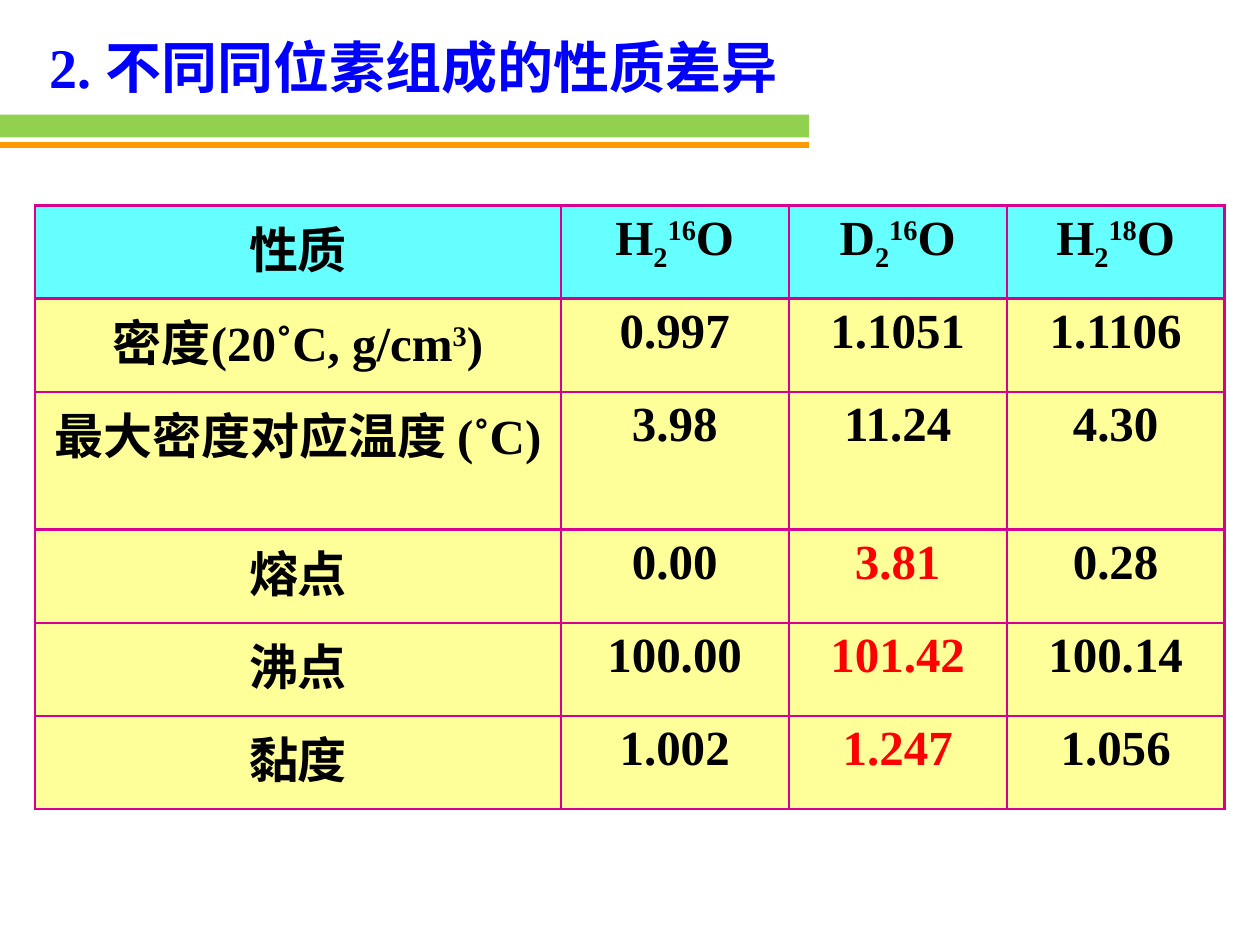
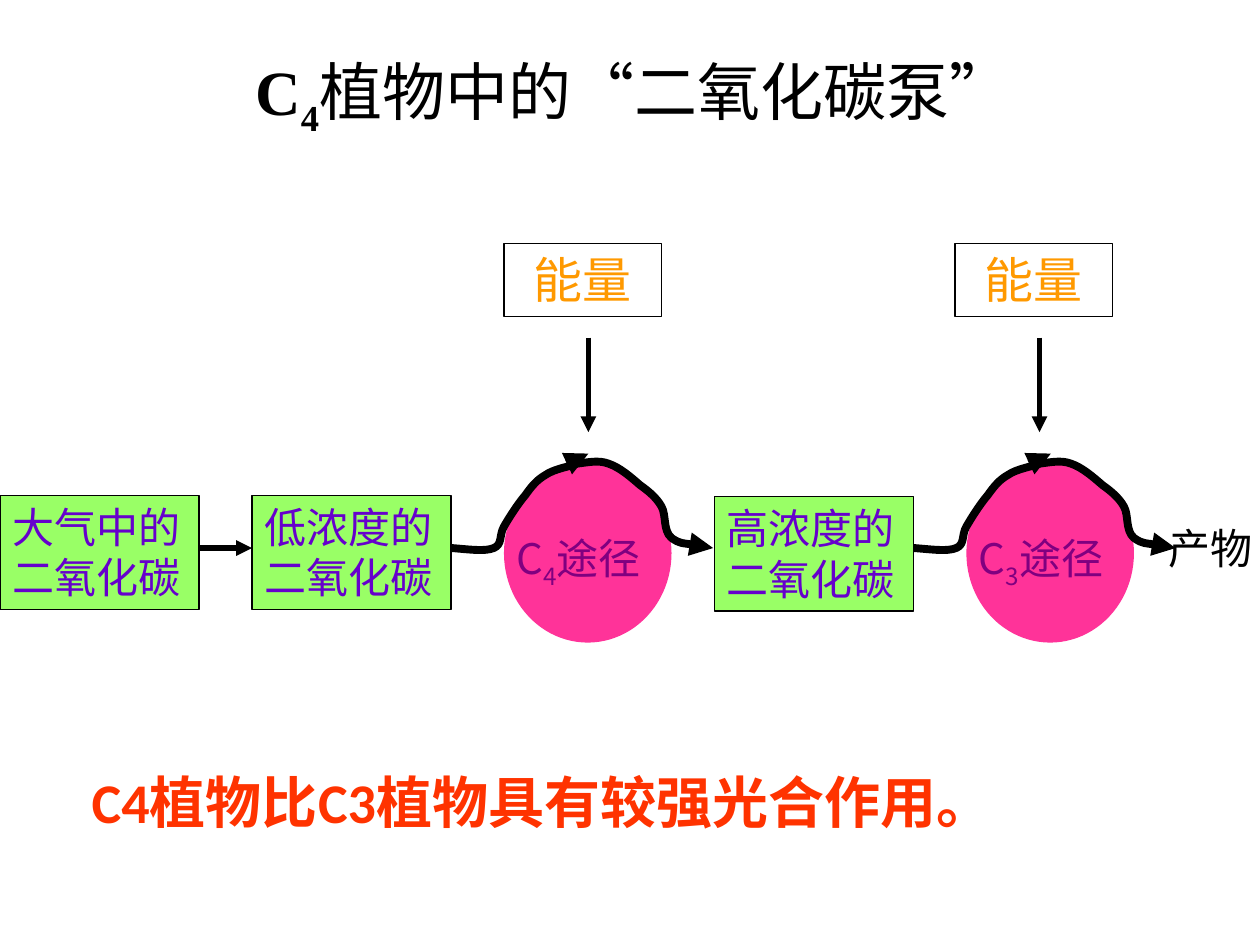
import lxml.etree
import pptx
import pptx.dml.color
import pptx.enum.shapes
import pptx.enum.text
import pptx.oxml.ns
import pptx.util

EMU_PER_PX = 9144  # 100 px to the inch
TITLE_ONLY = 5
SHAPES = pptx.enum.shapes.MSO_SHAPE
ALIGN = pptx.enum.text.PP_ALIGN
ANCHOR = pptx.enum.text.MSO_ANCHOR

SERIF, SANS, HAN = "Times New Roman", "Calibri", "Noto Sans CJK SC"
BLACK, WHITE, RED, ORANGE = "000000", "FFFFFF", "FF0000", "FF9900"
BLUE, LIME, MAGENTA = "0000FF", "92D050", "D60093"
AQUA, CREAM = "66FFFF", "FFFF99"
GREEN, VIOLET, PINK, PURPLE, VERMILION = "99FF66", "6600CC", "FF3399", "800080", "FF3300"

COLUMN_WIDTHS = [417, 181, 173, 173]
ROW_HEIGHT = 74
# In marked text "|" parts runs, "_" lowers a run and "^" raises it.
WATER_PROPERTIES = [
    ["性质", "H|_2|^16|O", "D|_2|^16|O", "H|_2|^18|O"],
    ["密度(20˚C, g/cm|^3|)", "0.997", "1.1051", "1.1106"],
    ["最大密度对应温度 (˚C)", "3.98", "11.24", "4.30"],
    ["熔点", "0.00", "3.81", "0.28"],
    ["沸点", "100.00", "101.42", "100.14"],
    ["黏度", "1.002", "1.247", "1.056"],
]
FIRST_RED_ROW, HEAVY_WATER_COLUMN = 3, 2
BASELINES = {"_": "-25000", "^": "30000"}

# Bezier points of the curve around a cycle, measured from its left end
CURVE_RISE = [(0, 435), (14, 436), (27, 438), (34, 435), (41, 432), (38, 425), (42, 418),
              (46, 411), (53, 400), (59, 393), (64, 386), (68, 381), (75, 377),
              (82, 372), (96, 370), (100, 368)]
CURVE_FALL = [(100, 368), (109, 367), (117, 365), (125, 368), (134, 371), (143, 379),
              (150, 385), (157, 390), (163, 395), (167, 402), (171, 409), (168, 421),
              (175, 427), (182, 432), (203, 434), (208, 435)]


def px(length):
    return pptx.util.Emu(length * EMU_PER_PX)


def color(hex_string):
    return pptx.dml.color.RGBColor.from_string(hex_string)


def add_xml(parent, tag, **attributes):
    return lxml.etree.SubElement(parent, pptx.oxml.ns.qn(tag), attributes)


# Text

def format_run(run, size, font, hex_color, bold=False, han_font=None):
    run.font.size = pptx.util.Pt(size)
    run.font.bold = bold
    run.font.color.rgb = color(hex_color)
    run.font.name = font
    add_xml(run.font._element, "a:ea", typeface=han_font or font)


def write_marked(paragraph, marked_text, size, font, hex_color, bold=False, han_font=None):
    for part in marked_text.split("|"):
        run = paragraph.add_run()
        run.text = part.lstrip("_^")
        format_run(run, size, font, hex_color, bold, han_font)
        if part[0] in BASELINES:
            run.font._element.set("baseline", BASELINES[part[0]])


def place(shape, left, top, width, height):
    shape.left, shape.top = px(left), px(top)
    shape.width, shape.height = px(width), px(height)


def add_title(slide, box, marked_text, size, hex_color, align, anchor):
    title = slide.shapes.title
    place(title, *box)
    frame = title.text_frame
    frame.auto_size = pptx.enum.text.MSO_AUTO_SIZE.NONE
    frame.vertical_anchor = anchor
    paragraph = frame.paragraphs[0]
    paragraph.alignment = align
    write_marked(paragraph, marked_text, size, SERIF, hex_color, True, HAN)
    return paragraph


def add_text(slide, box, marked_text, size, hex_color, bold=False, side_inset=10):
    text_box = slide.shapes.add_textbox(*map(px, box))
    frame = text_box.text_frame
    frame.word_wrap = True
    frame.margin_left = frame.margin_right = px(side_inset)
    write_marked(frame.paragraphs[0], marked_text, size, SANS, hex_color, bold)
    return frame.paragraphs[0]


# Shapes and lines

def add_shape(slide, kind, box, fill):
    shape = slide.shapes.add_shape(kind, *map(px, box))
    shape.shadow.inherit = False
    shape.fill.solid()
    shape.fill.fore_color.rgb = color(fill)
    shape.line.fill.background()
    return shape


def add_label_box(slide, box, lines, size, hex_color, fill, align):
    shape = add_shape(slide, SHAPES.RECTANGLE, box, fill)
    shape.line.color.rgb = color(BLACK)
    shape.line.width = pptx.util.Pt(0.75)
    frame = shape.text_frame
    frame.word_wrap = True
    frame.vertical_anchor = ANCHOR.TOP
    frame.text = lines
    for paragraph in frame.paragraphs:
        paragraph.alignment = align
        for run in paragraph.runs:
            format_run(run, size, SANS, hex_color)


def style_line(shape, hex_color, width, arrow):
    shape.line.color.rgb = color(hex_color)
    shape.line.width = pptx.util.Pt(width)
    outline = shape.line._get_or_add_ln()
    add_xml(outline, "a:round")
    if arrow:
        add_xml(outline, "a:tailEnd", type="triangle")


def add_line(slide, start, end, hex_color=BLACK, width=3, arrow=True):
    line = slide.shapes.add_connector(
        pptx.enum.shapes.MSO_CONNECTOR.STRAIGHT, *map(px, start + end))
    style_line(line, hex_color, width, arrow)
    add_xml(line._element.spPr, "a:effectLst")


def bend_segments(freeform):
    """Join every three straight segments into one Bezier segment."""
    outline = freeform._element.find(".//" + pptx.oxml.ns.qn("a:path"))
    segments = outline.findall(pptx.oxml.ns.qn("a:lnTo"))
    for i in range(0, len(segments), 3):
        bezier = add_xml(outline, "a:cubicBezTo")
        for segment in segments[i:i + 3]:
            bezier.append(segment[0])
            outline.remove(segment)


def add_curve(slide, left, points, arrow):
    start, *others = [(px(left + x), px(y)) for x, y in points]
    builder = slide.shapes.build_freeform(*start)
    builder.add_line_segments(others, close=False)
    curve = builder.convert_to_shape()
    bend_segments(curve)
    curve.shadow.inherit = False
    curve.fill.background()
    style_line(curve, BLACK, 4.5, arrow)


# Table

def format_cell(cell, marked_text, fill, hex_color):
    properties = cell._tc.get_or_add_tcPr()
    for side in ("a:lnL", "a:lnR", "a:lnT", "a:lnB"):
        border = add_xml(properties, side, w=str(pptx.util.Pt(1.5)))
        add_xml(add_xml(border, "a:solidFill"), "a:srgbClr", val=MAGENTA)
    cell.fill.solid()
    cell.fill.fore_color.rgb = color(fill)
    paragraph = cell.text_frame.paragraphs[0]
    paragraph.alignment = ALIGN.CENTER
    write_marked(paragraph, marked_text, 28, SERIF, hex_color, True, HAN)


def add_property_table(slide):
    row_count = len(WATER_PROPERTIES)
    table = slide.shapes.add_table(
        row_count, len(COLUMN_WIDTHS), px(28), px(163),
        px(sum(COLUMN_WIDTHS)), px(row_count * ROW_HEIGHT)).table
    for column, width in zip(table.columns, COLUMN_WIDTHS):
        column.width = px(width)
    for r, values in enumerate(WATER_PROPERTIES):
        table.rows[r].height = px(ROW_HEIGHT)
        for c, value in enumerate(values):
            is_red = r >= FIRST_RED_ROW and c == HEAVY_WATER_COLUMN
            format_cell(table.cell(r, c), value, CREAM if r else AQUA,
                        RED if is_red else BLACK)


# Slides

def add_isotope_slide(presentation):
    slide = presentation.slides.add_slide(presentation.slide_layouts[TITLE_ONLY])
    add_title(slide, (29, 21, 640, 63), "2. 不同同位素组成的性质差异", 32, BLUE,
              ALIGN.LEFT, ANCHOR.TOP)
    add_shape(slide, SHAPES.RECTANGLE, (0, 91, 642, 18), LIME)
    add_line(slide, (0, 115), (642, 115), ORANGE, arrow=False)
    add_property_table(slide)


def add_cycle(slide, left, energy_left, arrow_x, marked_name):
    """Draw one pathway: circle, name, energy input and the curve through it."""
    add_shape(slide, SHAPES.OVAL, (left, 368, 133, 142), PINK)
    name = add_text(slide, (left, 418, 142, 50), marked_name, 24, PURPLE)
    for run in name.runs[:2]:
        run.font.name = HAN
    add_label_box(slide, (energy_left, 193, 125, 58), "能量", 28, ORANGE, WHITE, ALIGN.CENTER)
    add_line(slide, (arrow_x, 268), (arrow_x, 343))
    curve_left = left - 42
    add_curve(slide, curve_left, CURVE_RISE, arrow=False)
    add_line(slide, (left + 50, 368), (left + 67, 360), width=4.5)
    add_curve(slide, curve_left, CURVE_FALL, arrow=True)


def add_pump_slide(presentation):
    slide = presentation.slides.add_slide(presentation.slide_layouts[TITLE_ONLY])
    title = add_title(slide, (24, 34, 958, 83), "C|_4|植物中的“二氧化碳泵”", 36, BLACK,
                      ALIGN.CENTER, ANCHOR.MIDDLE)
    title.line_spacing = 0.8
    title.runs[-1].font.bold = False

    # Carbon dioxide stages
    for left, top, lines in ((0, 393, "大气中的二氧化碳"),
                             (200, 393, "低浓度的\n二氧化碳"),
                             (567, 394, "高浓度的二氧化碳")):
        add_label_box(slide, (left, top, 158, 91), lines, 24, VIOLET, GREEN, ALIGN.LEFT)
    add_line(slide, (158, 435), (200, 435))

    # Pathways and product
    add_cycle(slide, 400, 400, 467, "C|_4|途径")
    add_cycle(slide, 767, 758, 825, "C|_3|途径")
    add_text(slide, (925, 410, 75, 50), "产物", 24, BLACK, side_inset=2)

    # Conclusion
    add_text(slide, (63, 604, 937, 102), "C4植物比C3植物具有较强光合作用。", 32, VERMILION, True)


def main():
    presentation = pptx.Presentation()
    presentation.slide_width, presentation.slide_height = px(1000), px(750)
    add_isotope_slide(presentation)
    add_pump_slide(presentation)
    presentation.save("out.pptx")


if __name__ == "__main__":
    main()
